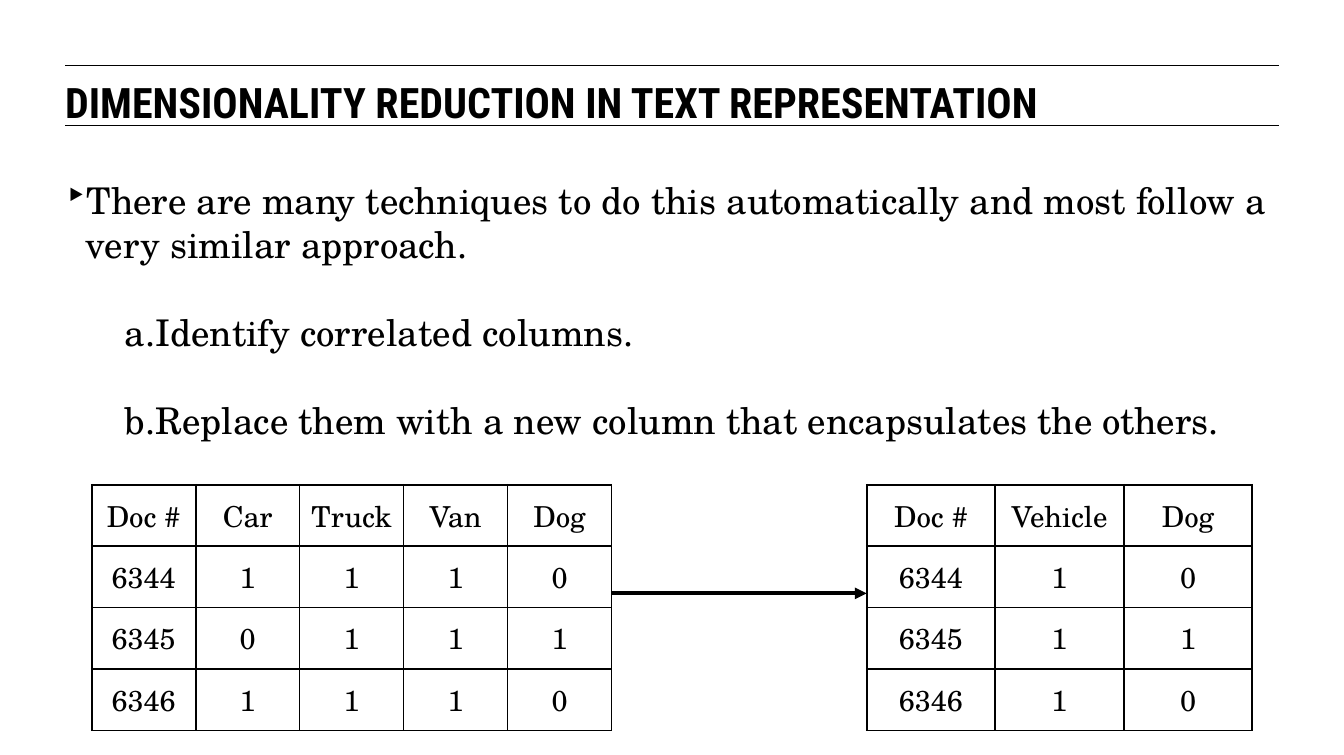
from lxml import etree
from pptx import Presentation
from pptx.dml.color import RGBColor
from pptx.enum.shapes import MSO_CONNECTOR
from pptx.enum.text import MSO_ANCHOR, PP_ALIGN
from pptx.oxml.ns import qn
from pptx.util import Inches, Pt

STRAIGHT = MSO_CONNECTOR.STRAIGHT
MIDDLE = MSO_ANCHOR.MIDDLE
CENTER = PP_ALIGN.CENTER

BLACK = RGBColor(0, 0, 0)
TITLE_FONT, BODY_FONT = "Roboto Condensed", "TeX Gyre Schola"

WIDTH, HEIGHT = 14.22, 7.99
LEFT, CONTENT_WIDTH = 0.69, 12.84
ROW_HEIGHT = 0.65
TABLE_TOP = 5.13

POINTS = [
    ("There are many techniques to do this automatically and most follow "
     "a very similar approach.", 0),
    ("Identify correlated columns.", 1),
    ("Replace them with a new column that encapsulates the others.", 1),
]
BEFORE = [
    ["Doc #", "Car", "Truck", "Van", "Dog"],
    ["6344", "1", "1", "1", "0"],
    ["6345", "0", "1", "1", "1"],
    ["6346", "1", "1", "1", "0"],
]
AFTER = [
    ["Doc #", "Vehicle", "Dog"],
    ["6344", "1", "0"],
    ["6345", "1", "1"],
    ["6346", "1", "0"],
]


def set_font(para, name, size, bold=False):
    font = para.font
    font.name, font.size, font.bold = name, Pt(size), bold
    font.color.rgb = BLACK


def add_line(page, left, right, y, weight):
    line = page.shapes.add_connector(
        STRAIGHT, Inches(left), Inches(y), Inches(right), Inches(y))
    line.line.color.rgb = BLACK
    line.line.width = Pt(weight)
    etree.SubElement(line._element.spPr, qn("a:effectLst"))
    return line


def add_text_frame(page, left, top, width, height):
    """Add a wrapping text box without insets and return its frame."""
    box = page.shapes.add_textbox(
        Inches(left), Inches(top), Inches(width), Inches(height))
    frame = box.text_frame
    frame.word_wrap = True
    frame.margin_left = frame.margin_right = 0
    frame.margin_top = frame.margin_bottom = 0
    return frame


def add_title(page, left, top, width, height):
    """Place the heading between two rules."""
    for y in (top, top + height):
        add_line(page, left, left + width, y, 0.75)
    para = add_text_frame(page, left, top + 0.12, width, height - 0.17).paragraphs[0]
    para.text = "DIMENSIONALITY REDUCTION IN TEXT REPRESENTATION"
    set_font(para, TITLE_FONT, 32, bold=True)


def set_bullet(para, level):
    """Mark the top level with a triangle and the second with letters."""
    para.level = level
    margin, indent = ((0.22, -0.22), (0.72, -0.09))[level]
    properties = para._p.get_or_add_pPr()
    properties.set("marL", str(Inches(margin)))
    properties.set("indent", str(Inches(indent)))
    if level:
        etree.SubElement(properties, qn("a:buAutoNum"), type="alphaLcPeriod")
    else:
        etree.SubElement(properties, qn("a:buChar"), char="‣")


def add_points(page, left, top, width, height):
    frame = add_text_frame(page, left, top, width, height)
    for index, (text, level) in enumerate(POINTS):
        para = frame.add_paragraph() if index else frame.paragraphs[0]
        para.text = text
        set_font(para, BODY_FONT, 28)
        if index:
            para.space_before = Pt(33.6)
        set_bullet(para, level)


def set_borders(cell):
    properties = cell._tc.get_or_add_tcPr()
    for index, side in enumerate(("lnL", "lnR", "lnT", "lnB")):
        border = etree.Element(qn("a:" + side), w=str(Pt(1.5)))
        fill = etree.SubElement(border, qn("a:solidFill"))
        etree.SubElement(fill, qn("a:srgbClr"), val=str(BLACK))
        properties.insert(index, border)


def add_document_table(page, rows, left, top, column_width):
    """Add a bordered table and return its right edge."""
    count = len(rows[0])
    width = count * column_width
    table = page.shapes.add_table(
        len(rows), count, Inches(left), Inches(top),
        Inches(width), Inches(len(rows) * ROW_HEIGHT)).table
    table.first_row = table.horz_banding = False
    for column in table.columns:
        column.width = Inches(column_width)
    for row, values in zip(table.rows, rows):
        row.height = Inches(ROW_HEIGHT)
        for cell, value in zip(row.cells, values):
            cell.text = value
            cell.vertical_anchor = MIDDLE
            cell.margin_left = cell.margin_right = Inches(0.1)
            cell.margin_top = cell.margin_bottom = Inches(0.1)
            cell.fill.background()
            para = cell.text_frame.paragraphs[0]
            para.alignment = CENTER
            set_font(para, BODY_FONT, 22)
            set_borders(cell)
    return left + width


def add_reduction(page, left, right_table, top):
    """Show the wide table, an arrow and the reduced table."""
    arrow_start = add_document_table(page, BEFORE, left, top, 1.1)
    add_document_table(page, AFTER, right_table, top, 1.36)
    arrow = add_line(page, arrow_start, right_table, top + 1.15, 3)
    etree.SubElement(arrow.line._get_or_add_ln(), qn("a:tailEnd"), type="triangle")


def main():
    deck = Presentation()
    deck.slide_width, deck.slide_height = Inches(WIDTH), Inches(HEIGHT)
    page = deck.slides.add_slide(deck.slide_layouts[6])
    add_title(page, LEFT, 0.69, CONTENT_WIDTH, 0.64)
    add_points(page, LEFT, 1.88, CONTENT_WIDTH, 3.08)
    add_reduction(page, 0.97, 9.17, TABLE_TOP)
    deck.save("out.pptx")


if __name__ == "__main__":
    main()
